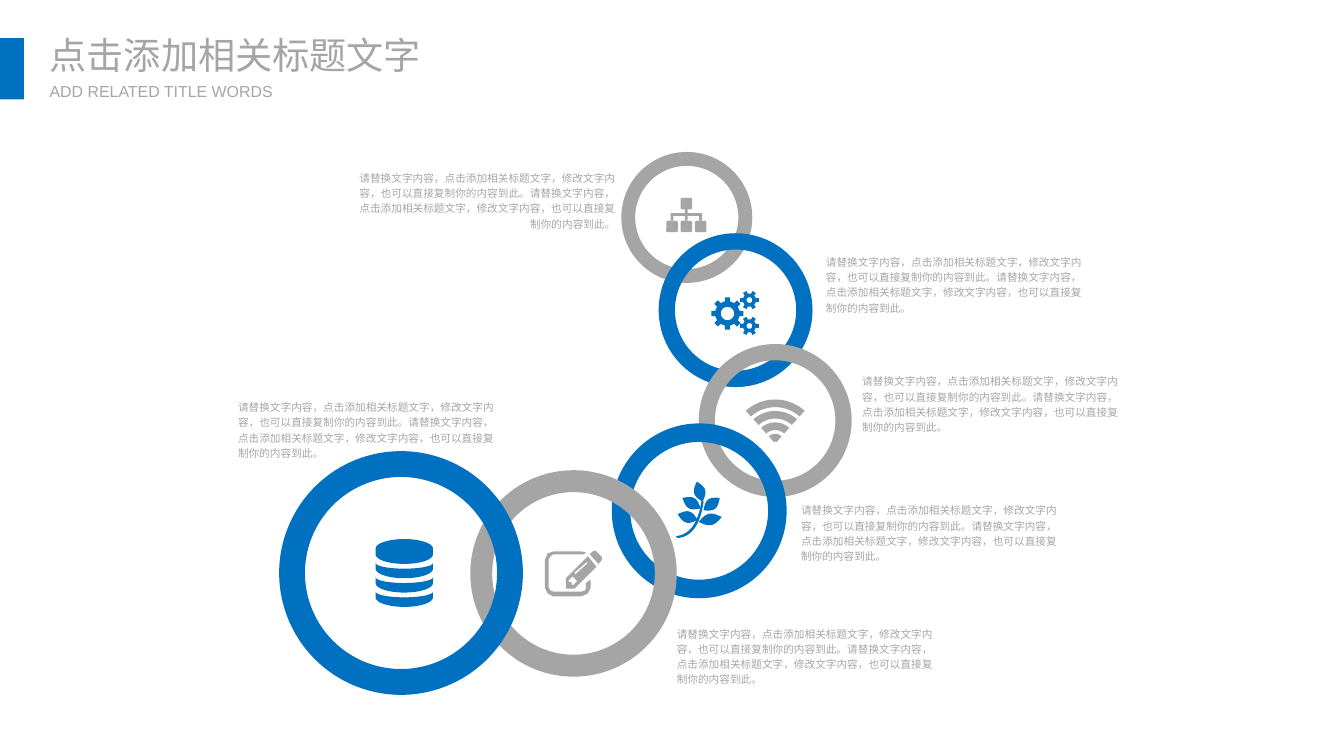
from dataclasses import dataclass
from math import cos, hypot, pi, radians, sin

from pptx import Presentation
from pptx.dml.color import RGBColor
from pptx.enum.shapes import MSO_SHAPE
from pptx.enum.text import MSO_AUTO_SIZE, PP_ALIGN
from pptx.util import Inches, Pt


@dataclass(frozen=True)
class Theme:
    blue: RGBColor = RGBColor(0x00, 0x70, 0xC0)
    gray: RGBColor = RGBColor(0xA5, 0xA5, 0xA5)
    note: RGBColor = RGBColor(0xA6, 0xA6, 0xA6)
    font: str = "Arial"
    head: int = 28
    sub: int = 12
    body: int = 8


theme = Theme()
deck = Presentation()
deck.slide_width, deck.slide_height = Inches(14.06), Inches(7.91)
slide = deck.slides.add_slide(deck.slide_layouts[6])


def write(words, at, size, color, pad=(0, 0), wrap=True, gap=None, align=PP_ALIGN.LEFT):
    box = slide.shapes.add_textbox(*map(Inches, at))
    frame = box.text_frame
    frame.word_wrap = wrap
    frame.auto_size = MSO_AUTO_SIZE.SHAPE_TO_FIT_TEXT
    frame.margin_left = frame.margin_right = Inches(pad[0])
    frame.margin_top = frame.margin_bottom = Inches(pad[1])
    para = frame.paragraphs[0]
    para.alignment = align
    para.line_spacing = gap
    run = para.add_run()
    run.text = words
    run.font.name = theme.font
    run.font.size = Pt(size)
    run.font.color.rgb = color


def trace(loops, color):
    """Fill closed outlines as one shape; an inner outline cuts a hole."""
    pen = None
    for loop in loops:
        first, *rest = [(Inches(x), Inches(y)) for x, y in loop]
        if pen is None:
            pen = slide.shapes.build_freeform(*first)
        else:
            pen.move_to(*first)
        pen.add_line_segments(rest, close=True)
    form = pen.convert_to_shape()
    form.shadow.inherit = False
    form.fill.solid()
    form.fill.fore_color.rgb = color
    form.line.fill.background()


# Chain of rings, back to front: left, top, diameter
rings = [
    (6.5, 1.59, 1.37), (6.89, 2.44, 1.61), (7.31, 3.6, 1.6),
    (6.4, 4.43, 1.83), (4.92, 4.92, 2.16), (2.92, 4.72, 2.55),
]
parts = [
    (MSO_SHAPE.DONUT, (theme.gray, theme.blue)[i % 2], (x, y, d, d), 10.6)
    for i, (x, y, d) in enumerate(rings)
]

# Title bar
parts.append((MSO_SHAPE.RECTANGLE, theme.blue, (0, 0.4, 0.25, 0.64), None))

# Tree icon: boxes, then stems and the cross bar
mid, step, side = 7.18, 0.15, 0.12
cols = [mid + i * step for i in (-1, 0, 1)]
for x, y in [(mid, 2.07)] + [(col, 2.31) for col in cols]:
    parts.append((MSO_SHAPE.ROUNDED_RECTANGLE, theme.gray, (x - side / 2, y, side, side), 15))
bars = [(mid, 2.18, 0.03, 0.06), (mid, 2.23, 2 * step + 0.03, 0.03)]
bars += [(col, 2.25, 0.03, 0.06) for col in cols]
for x, y, wide, high in bars:
    parts.append((MSO_SHAPE.RECTANGLE, theme.gray, (x - wide / 2, y, wide, high), None))

for kind, color, at, bend in parts:
    item = slide.shapes.add_shape(kind, *map(Inches, at))
    item.shadow.inherit = False
    item.fill.solid()
    item.fill.fore_color.rgb = color
    item.line.fill.background()
    if bend is not None:
        item.adjustments[0] = bend / 100

# Gear icon: centre, tip, root and hole radius, teeth
gears = [
    (7.61, 3.28, 0.17, 0.13, 0.07, 8),
    (7.84, 3.14, 0.1, 0.07, 0.03, 6),
    (7.84, 3.41, 0.1, 0.07, 0.03, 6),
]
loops = []
for x, y, tip, root, hole, teeth in gears:
    pitch = 2 * pi / teeth
    edge = [(-0.26, root), (-0.2, tip), (0.2, tip), (0.26, root)]
    loops.append([
        (x + r * cos((i + part) * pitch), y + r * sin((i + part) * pitch))
        for i in range(teeth) for part, r in edge
    ])
    loops.append([(x + hole * cos(radians(a)), y + hole * sin(radians(a)))
                  for a in range(0, 360, 10)])
trace(loops, theme.blue)

# Signal icon: four bands about one centre
x, y = 8.11, 4.64
sweep = [radians(a) for a in range(-42, 43, 3)]
loops = []
for r in (0.46, 0.34, 0.22, 0.1):
    loops.append([(x + r * sin(a), y - r * cos(a)) for a in sweep]
                 + [(x + (r - 0.08) * sin(a), y - (r - 0.08) * cos(a)) for a in sweep[::-1]])
trace(loops, theme.gray)

# Data icon: four stacked discs
half = [radians(a) for a in range(0, 181, 6)]
loops = []
for i in range(4):
    top = 5.74 + 0.15 * i
    sag = 0.06 if i else -0.1
    loops.append([(4.23 - 0.3 * cos(a), top + sag * sin(a)) for a in half]
                 + [(4.23 + 0.3 * cos(a), top + 0.06 + 0.1 * sin(a)) for a in half])
trace(loops, theme.blue)

# Edit icon: open frame, pencil, tip hole, groove, eraser
trace([
    [(6.13, 5.78), (6.11, 5.8), (5.79, 5.8), (5.76, 5.82), (5.74, 5.85), (5.74, 6.15),
     (5.76, 6.18), (5.79, 6.19), (6.08, 6.19), (6.12, 6.18), (6.13, 6.15), (6.13, 6.1),
     (6.17, 6.07), (6.18, 6.08), (6.18, 6.15), (6.15, 6.21), (6.08, 6.24), (5.79, 6.24),
     (5.73, 6.21), (5.7, 6.15), (5.7, 5.86), (5.73, 5.79), (5.79, 5.77), (6.08, 5.77)],
    [(6.24, 5.93), (6.01, 6.16), (5.92, 6.16), (5.92, 6.05), (6.15, 5.82)],
    [(6.04, 6.08), (5.99, 6.03), (5.95, 6.07), (5.95, 6.09), (5.98, 6.09),
     (5.98, 6.12), (6, 6.12)],
    [(6.14, 5.88), (6.01, 5.99), (6.02, 6.01), (6.15, 5.89)],
    [(6.26, 5.9), (6.17, 5.8), (6.2, 5.77), (6.22, 5.76), (6.24, 5.77), (6.29, 5.82),
     (6.3, 5.84), (6.29, 5.87)],
], theme.gray)

# Plant icon: curved stem, then leaves from base to tip
steps = [i / 16 for i in range(17)]
stem = [((1 - t) ** 2 * 7.08 + 2 * t * (1 - t) * 7.3 + t * t * 7.35,
         (1 - t) ** 2 * 5.62 + 2 * t * (1 - t) * 5.6 + t * t * 5.24) for t in steps]
trace([[(x - 0.01, y - 0.01) for x, y in stem]
       + [(x + 0.01, y + 0.01) for x, y in stem[::-1]]], theme.blue)
leaves = [
    (7.35, 5.25, 7.29, 5.04), (7.33, 5.32, 7.14, 5.21), (7.3, 5.44, 7.09, 5.38),
    (7.36, 5.34, 7.53, 5.21), (7.31, 5.46, 7.55, 5.41),
]
loops = []
for x, y, tx, ty in leaves:
    dx, dy = tx - x, ty - y
    wide = 0.06 / hypot(dx, dy)
    loops.append([
        (x + t * dx - side * wide * dy * sin(pi * t), y + t * dy + side * wide * dx * sin(pi * t))
        for side, path in ((1, steps), (-1, steps[::-1])) for t in path
    ])
trace(loops, theme.blue)

# Notes beside the rings
note = "请替换文字内容，点击添加相关标题文字，修改文字内容，也可以直接复制你的内容到此。" * 2
notes = [
    (2.49, 4.17, 2.73, PP_ALIGN.LEFT), (7.08, 6.54, 2.71, PP_ALIGN.LEFT),
    (8.38, 5.25, 2.71, PP_ALIGN.LEFT), (9.02, 3.9, 2.71, PP_ALIGN.LEFT),
    (8.64, 2.65, 2.71, PP_ALIGN.LEFT), (3.71, 1.77, 2.73, PP_ALIGN.RIGHT),
]
for x, y, wide, align in notes:
    write(note, (x, y, wide, 0.65), theme.body, theme.note, gap=1.2, align=align)

# Title and subtitle
titles = [
    ("点击添加相关标题文字", (0.41, 0.29, 4.14, 0.58), theme.head),
    ("ADD RELATED TITLE WORDS", (0.41, 0.8, 2.57, 0.31), theme.sub),
]
for words, at, size in titles:
    write(words, at, size, theme.gray, pad=(0.11, 0.05), wrap=False)

deck.save("out.pptx")
